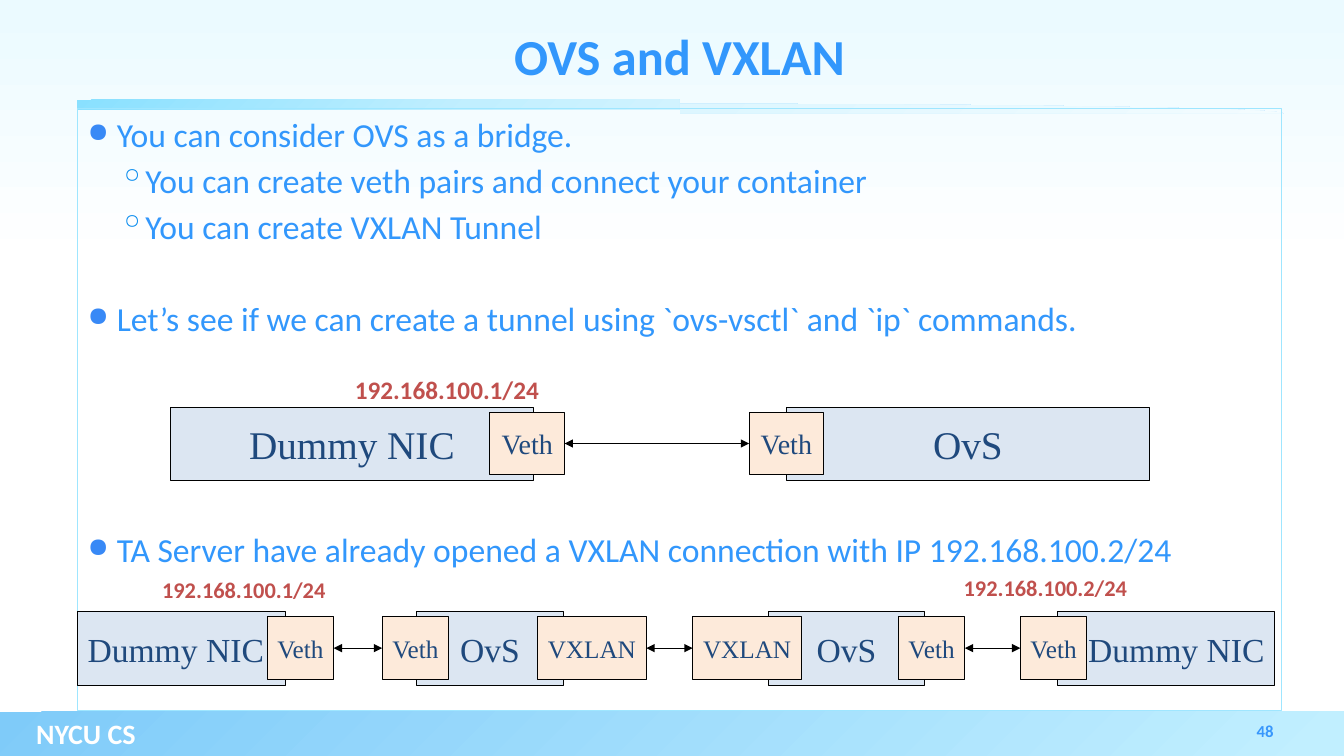
from copy import deepcopy

from lxml.etree import SubElement
from pptx import Presentation
from pptx.dml.color import RGBColor
from pptx.enum.shapes import MSO_CONNECTOR, MSO_SHAPE
from pptx.enum.text import MSO_ANCHOR, PP_ALIGN
from pptx.oxml.ns import qn
from pptx.util import Inches, Pt

COLORS = {
    "text": "3297FC", "bullet": "3889F6", "sub_bullet": "0088EE",
    "page": "3897FC", "white": "FFFFFF", "frame": "9FE6FF", "black": "000000",
    "node": "DCE6F2", "port": "FDEADA", "label": "1F497D", "address": "C0504D",
}
CELL = Inches(0.1)  # the slide is a grid of 133.3 columns by 75 rows
COLUMNS, ROWS = 133.3, 75
NODE_HEIGHT, PORT_HEIGHT, PORT_DROP = 7.3, 6.2, 0.5

deck = Presentation()
deck.slide_width, deck.slide_height = int(COLUMNS * CELL), int(ROWS * CELL)
slide = deck.slides.add_slide(deck.slide_layouts[6])


def paint_gradient(owner, fill, angle, stops):
    """Fill with (percent, hex) stops; the angle runs clockwise."""
    fill.gradient()
    fill.gradient_angle = 360 - angle
    stop_list = owner.element.find(".//" + qn("a:gsLst"))
    while len(stop_list) < len(stops):
        stop_list.append(deepcopy(stop_list[0]))
    for stop, (percent, color) in zip(fill.gradient_stops, stops):
        stop.position = percent / 100
        stop.color.rgb = RGBColor.from_string(color)


def add_box(left, top, width, height, text, size, color, fill=None,
            font="Calibri", bold=False, align=PP_ALIGN.LEFT, anchor=MSO_ANCHOR.TOP):
    """Add a text box, or an outlined rectangle when a fill is named."""
    place = [int(cells * CELL) for cells in (left, top, width, height)]
    if fill:
        box = slide.shapes.add_shape(MSO_SHAPE.RECTANGLE, *place)
        box.shadow.inherit = False
        box.fill.solid()
        box.fill.fore_color.rgb = RGBColor.from_string(COLORS[fill])
        box.line.color.rgb = RGBColor.from_string(COLORS["black"])
        box.line.width = Pt(0.75)
    else:
        box = slide.shapes.add_textbox(*place)
    frame = box.text_frame
    frame.word_wrap = True
    frame.vertical_anchor = anchor
    frame.text = text
    for paragraph in frame.paragraphs:
        paragraph.alignment = align
        for run in paragraph.runs:
            run.font.name, run.font.size, run.font.bold = font, Pt(size), bold
            run.font.color.rgb = RGBColor.from_string(COLORS[color])
    return box


# Background and bands
paint_gradient(slide, slide.background.fill, 90,
               [(1, "EBFAFF"), (35, "FFFFFF"), (99, "FFFFFF")])
bands = [
    (MSO_SHAPE.ARC, 7.6, 10.3, 119.7, 1.9,
     [(0, "9FE6FF"), (50, "DDF6FF"), (100, "F3FCFF")]),
    (MSO_SHAPE.RECTANGLE, 7.6, 9.9, 59.8, 1,
     [(0, "89E0FF"), (65, "C1EFFF"), (100, "D1F3FF")]),
    (MSO_SHAPE.RECTANGLE, 0, 70.6, COLUMNS, 4.4, [(0, "7FCBF9"), (98, "C1EFFF")]),
]
for outline, left, top, width, height, stops in bands:
    band = slide.shapes.add_shape(
        outline, *[int(cells * CELL) for cells in (left, top, width, height)])
    band.shadow.inherit = False
    band.line.fill.background()
    paint_gradient(band, band.fill, 45, stops)

# Title and footer
add_box(12.3, 0.7, 110.2, 9.6, "OVS and VXLAN", 36, "text", bold=True,
        align=PP_ALIGN.CENTER, anchor=MSO_ANCHOR.MIDDLE)
add_box(2.6, 70.6, 14.5, 4.4, "NYCU CS", 20, "white", bold=True)
add_box(111.2, 71, 16.1, 3.6, "48", 12, "page", bold=True, align=PP_ALIGN.RIGHT)

# Bulleted text: level, space before in points, wording
points = [
    (0, 0, "You can consider OVS as a bridge."),
    (1, 4, "You can create veth pairs and connect your container"),
    (1, 4, "You can create VXLAN Tunnel"),
    (0, 37, "Let’s see if we can create a tunnel using `ovs-vsctl` and `ip` commands."),
    (0, 136, "TA Server have already opened a VXLAN connection with IP 192.168.100.2/24"),
]
bullet_styles = [("●", "bullet", 80, 0.29, 0.29), ("◦", "sub_bullet", 100, 0.55, 0.24)]
body = add_box(7.7, 10.8, 119.4, 59.7, "\n".join(point[2] for point in points), 24, "text")
body.line.color.rgb = RGBColor.from_string(COLORS["frame"])
body.line.width = Pt(0.75)
for paragraph, (level, gap, _) in zip(body.text_frame.paragraphs, points):
    symbol, color, percent, margin, hang = bullet_styles[level]
    paragraph.level = level
    paragraph.space_before = Pt(gap)
    properties = paragraph._p.get_or_add_pPr()
    properties.set("marL", str(Inches(margin)))
    properties.set("indent", str(-Inches(hang)))
    bullet_color = SubElement(properties, qn("a:buClr"))
    SubElement(bullet_color, qn("a:srgbClr"), val=COLORS[color])
    SubElement(properties, qn("a:buSzPct"), val=str(percent * 1000))
    SubElement(properties, qn("a:buChar"), char=symbol)

# Diagrams: nodes are (left, width, name, alignment), ports (left, width, name)
diagrams = [
    {"top": 40.4, "node_size": 28, "port_size": 20,
     "nodes": [(16.9, 36, "Dummy NIC", PP_ALIGN.CENTER),
               (78, 36, "OvS", PP_ALIGN.CENTER)],
     "ports": [(48.6, 7.4, "Veth"), (74.3, 7.4, "Veth")]},
    {"top": 60.7, "node_size": 24, "port_size": 18,
     "nodes": [(7.7, 20.6, "Dummy NIC", PP_ALIGN.LEFT),
               (41.3, 14.6, "OvS", PP_ALIGN.CENTER),
               (76.2, 15.5, "OvS", PP_ALIGN.CENTER),
               (104.9, 21.5, "Dummy NIC", PP_ALIGN.RIGHT)],
     "ports": [(26.5, 6.6, "Veth"), (37.9, 6.6, "Veth"),
               (53.3, 10.8, "VXLAN"), (68.7, 10.8, "VXLAN"),
               (89.1, 6.6, "Veth"), (101.2, 6.6, "Veth")]},
]
for diagram in diagrams:
    top = diagram["top"]
    for left, width, name, align in diagram["nodes"]:
        add_box(left, top, width, NODE_HEIGHT, name, diagram["node_size"], "label",
                "node", "Times New Roman", align=align, anchor=MSO_ANCHOR.MIDDLE)
    ports = [
        add_box(left, top + PORT_DROP, width, PORT_HEIGHT, name, diagram["port_size"],
                "label", "port", "Times New Roman", align=PP_ALIGN.CENTER,
                anchor=MSO_ANCHOR.MIDDLE)
        for left, width, name in diagram["ports"]
    ]
    for near_port, far_port in zip(ports[::2], ports[1::2]):
        wire = slide.shapes.add_connector(MSO_CONNECTOR.STRAIGHT, 0, 0, 0, 0)
        wire.begin_connect(near_port, 3)
        wire.end_connect(far_port, 1)
        wire.line.color.rgb = RGBColor.from_string(COLORS["black"])
        wire.line.width = Pt(0.75)
        for end in ("a:headEnd", "a:tailEnd"):
            SubElement(wire.line._get_or_add_ln(), qn(end), type="triangle")
        SubElement(wire.element.spPr, qn("a:effectLst"))

addresses = [
    (34.2, 36.6, 20.5, 4, "192.168.100.1/24", 18),
    (15.1, 56.7, 18.4, 3.7, "192.168.100.1/24", 16),
    (94.6, 56.5, 18.4, 3.7, "192.168.100.2/24", 16),
]
for left, top, width, height, address, size in addresses:
    add_box(left, top, width, height, address, size, "address", bold=True)

deck.save("out.pptx")
